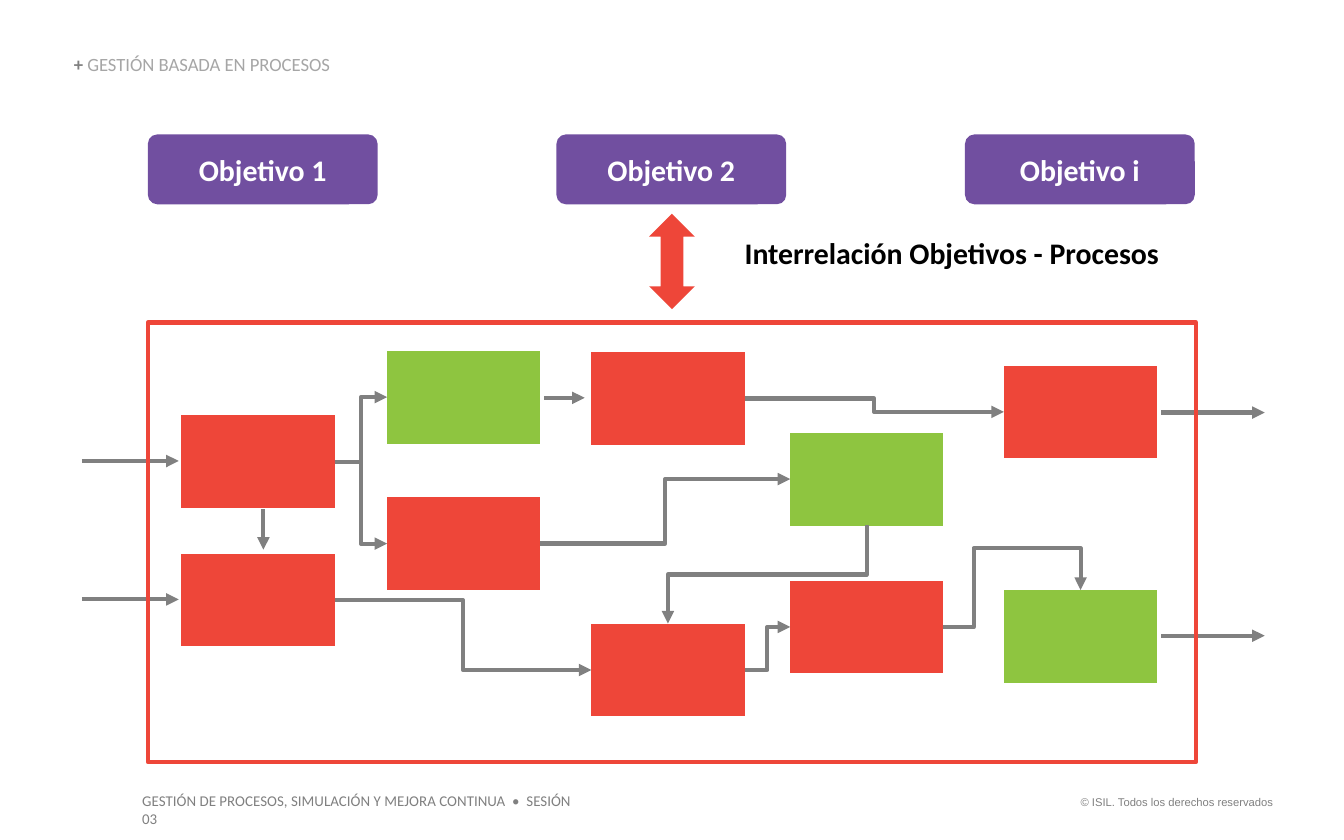
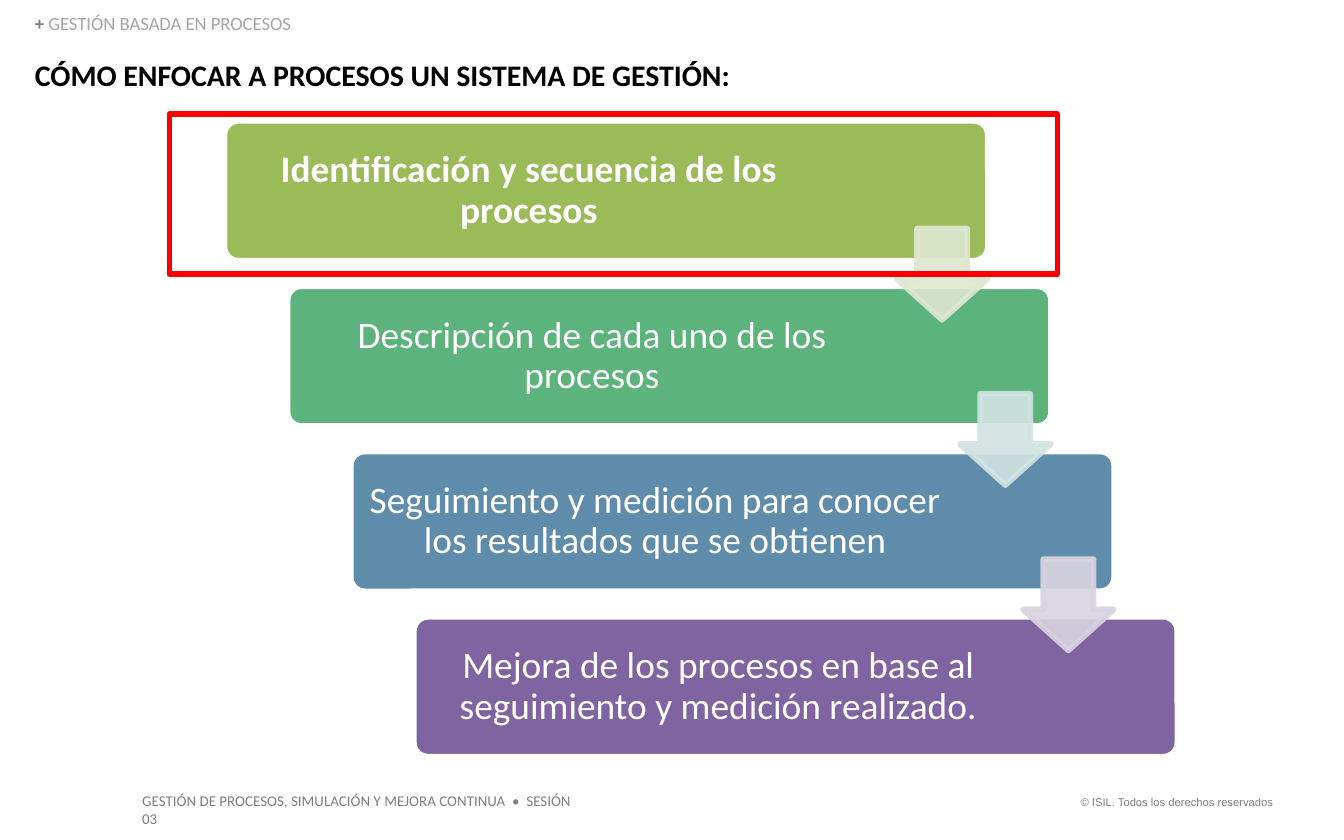
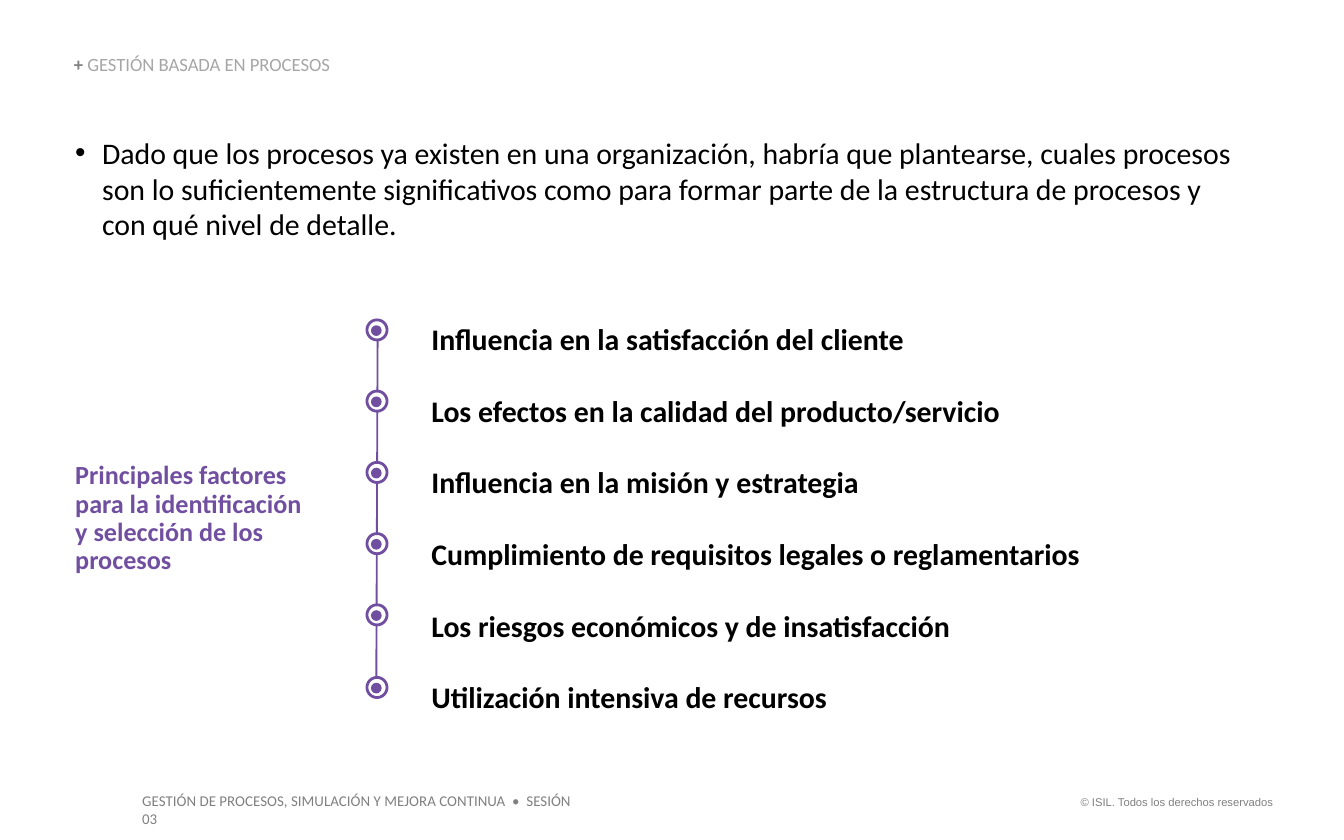
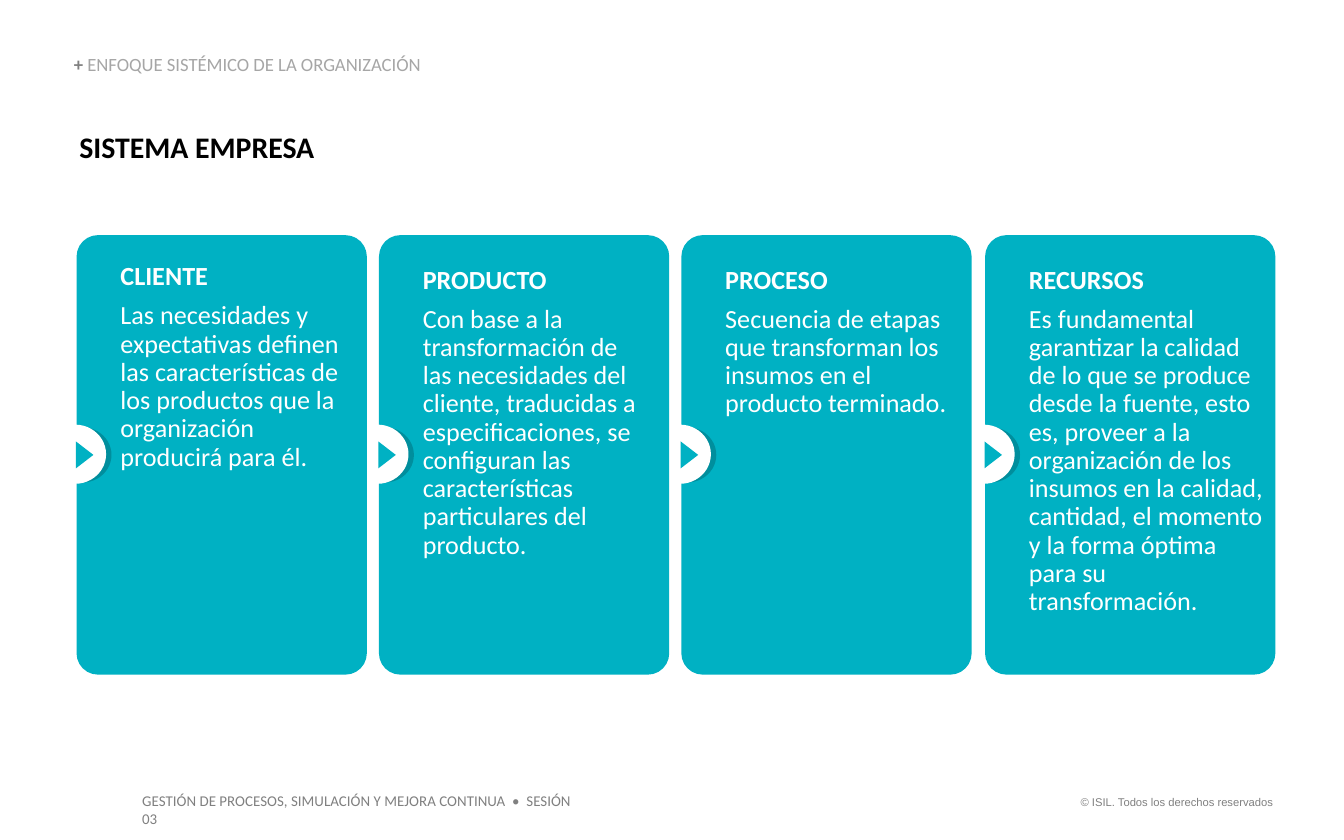
from lxml import etree
from pptx import Presentation
from pptx.dml.color import RGBColor
from pptx.enum import shapes, text
from pptx.oxml import ns
from pptx.util import Emu, Pt

PX = 9144
BLACK = RGBColor(0x00, 0x00, 0x00)
WHITE = RGBColor(0xFF, 0xFF, 0xFF)
GRAY = RGBColor(0x80, 0x80, 0x80)
LIGHT_GRAY = RGBColor(0xA6, 0xA6, 0xA6)
PURPLE = RGBColor(0x71, 0x4F, 0xA0)
RED = RGBColor(0xEE, 0x46, 0x39)
GREEN = RGBColor(0x8E, 0xC5, 0x40)
HIGHLIGHT = RGBColor(0xFF, 0x00, 0x00)
TEAL = RGBColor(0x00, 0xB1, 0xC3)
DARK_TEAL = RGBColor(0x00, 0x8E, 0x9D)
STEP_COLORS = [RGBColor(0x9B, 0xBB, 0x59), RGBColor(0x5C, 0xB3, 0x7C),
               RGBColor(0x60, 0x8C, 0xAB), RGBColor(0x80, 0x64, 0xA2)]
STEP_ARROW_COLORS = [RGBColor(0xDE, 0xE7, 0xD1), RGBColor(0xD2, 0xE3, 0xE2),
                     RGBColor(0xD8, 0xD3, 0xE0)]

KIND = shapes.MSO_SHAPE
CONNECTOR = shapes.MSO_CONNECTOR
ANCHOR = text.MSO_ANCHOR
ALIGN = text.PP_ALIGN
TOP, LEFT, BOTTOM, RIGHT = range(4)
TITLE_ONLY, TWO_CONTENT = 5, 3

PROCESSES = "GESTIÓN BASADA EN PROCESOS"
FACTORS = [
    "Influencia en la satisfacción del cliente",
    "Los efectos en la calidad del producto/servicio",
    "Influencia en la misión y estrategia",
    "Cumplimiento de requisitos legales o reglamentarios",
    "Los riesgos económicos y de insatisfacción",
    "Utilización intensiva de recursos",
]
STEPS = [
    "Identificación y secuencia de los procesos",
    "Descripción de cada uno de los procesos",
    "Seguimiento y medición para conocer los resultados que se obtienen",
    "Mejora de los procesos en base al seguimiento y medición realizado.",
]
CARDS = [
    ("CLIENTE", 0.9, "Las necesidades y expectativas definen las características de los "
     "productos que la organización producirá para él."),
    ("PRODUCTO", 1.0, "Con base a la transformación de\nlas necesidades del cliente, "
     "traducidas a especificaciones, se configuran las características particulares "
     "del producto."),
    ("PROCESO", 1.0, "Secuencia de etapas que transforman los insumos en el producto "
     "terminado."),
    ("RECURSOS", 1.0, "Es fundamental garantizar la calidad de lo que se produce desde la "
     "fuente, esto es, proveer a la organización de los insumos en la calidad, cantidad, "
     "el momento y la forma óptima para su transformación."),
]


def px(*lengths):
    """Turn pixel lengths into EMU."""
    return [Emu(length * PX) for length in lengths]


def add_xml(parent, tag, **attributes):
    """Append a drawing element with the given attributes."""
    return etree.SubElement(parent, ns.qn(tag), attributes)


def set_frame(box, inset=(0, 0, 0, 0), anchor=ANCHOR.TOP):
    """Set wrapping, insets and anchor of the text in a box."""
    frame = box.text_frame
    frame.word_wrap = True
    frame.auto_size = text.MSO_AUTO_SIZE.NONE
    frame.vertical_anchor = anchor
    (frame.margin_left, frame.margin_top,
     frame.margin_right, frame.margin_bottom) = px(*inset)


def write(box, content, *, size=16, color=BLACK, bold=False, font="Calibri",
          align=ALIGN.LEFT, spacing=1.0, after=0, bullet=None):
    """Add a paragraph from a string or from (text, color, bold) spans."""
    para = box.text_frame.paragraphs[-1]
    if para.runs:
        para = box.text_frame.add_paragraph()
    para.alignment = align
    para.line_spacing = spacing
    para.space_before = Pt(0)
    para.space_after = Pt(after)
    if box.is_placeholder:
        properties = para._p.get_or_add_pPr()
        indent = 20 * PX if bullet else 0
        properties.set("marL", str(indent))
        properties.set("indent", str(-indent))
        if bullet:
            add_xml(properties, "a:buChar", char=bullet)
        else:
            add_xml(properties, "a:buNone")
    spans = [(content, color, bold)] if isinstance(content, str) else content
    for words, span_color, span_bold in spans:
        for number, part in enumerate(words.split("\n")):
            if number:
                para.add_line_break()
            span = para.add_run()
            span.text = part
            span.font.name = font
            span.font.size = Pt(size)
            span.font.bold = span_bold
            span.font.color.rgb = span_color


def add_label(page, bounds, content, inset=(0, 0, 0, 0), **style):
    """Add a text box holding one paragraph."""
    box = page.shapes.add_textbox(*px(*bounds))
    set_frame(box, inset)
    write(box, content, **style)
    return box


def add_block(page, kind, bounds, fill=None, line=None, width=1, adjust=()):
    """Add a preset shape without shadow."""
    block = page.shapes.add_shape(kind, *px(*bounds))
    block.shadow.inherit = False
    for index, value in enumerate(adjust):
        block.adjustments[index] = value
    if fill is None:
        block.fill.background()
    else:
        block.fill.solid()
        block.fill.fore_color.rgb = fill
    if line is None:
        block.line.fill.background()
    else:
        block.line.color.rgb = line
        block.line.width = Pt(width)
    return block


def style_connector(connector, color=GRAY, width=2.25, arrow=True):
    """Format a connector and give it an arrowhead when asked."""
    connector.line.color.rgb = color
    connector.line.width = Pt(width)
    properties = connector._element.spPr
    if arrow:
        add_xml(properties.find(ns.qn("a:ln")), "a:tailEnd", type="triangle")
    add_xml(properties, "a:effectLst")


def add_line(page, ends, **style):
    """Add a straight connector between two points."""
    connector = page.shapes.add_connector(CONNECTOR.STRAIGHT, *px(*ends))
    style_connector(connector, **style)


def add_elbow(page, source, source_side, target, target_side):
    """Join two boxes by an elbow arrow."""
    elbow = page.shapes.add_connector(CONNECTOR.ELBOW, 0, 0, 0, 0)
    elbow.begin_connect(source, source_side)
    elbow.end_connect(target, target_side)
    style_connector(elbow)
    return elbow


def turn_elbow(elbow):
    """Turn a down-left elbow so that it leaves vertically."""
    width, height = elbow.width, elbow.height
    center_x, center_y = elbow.left + width // 2, elbow.top + height // 2
    elbow.left, elbow.top = center_x - height // 2, center_y - width // 2
    elbow.width, elbow.height = height, width
    transform = elbow._element.spPr.find(ns.qn("a:xfrm"))
    transform.attrib.pop("flipH", None)
    transform.set("rot", "5400000")


def bend_over(elbow, across, up):
    """Give an elbow a third bend, at shares of its width and height."""
    geometry = elbow._element.spPr.find(ns.qn("a:prstGeom"))
    geometry.set("prst", "bentConnector4")
    guides = geometry.find(ns.qn("a:avLst"))
    for name, share in (("adj1", across), ("adj2", up)):
        add_xml(guides, "a:gd", name=name, fmla=f"val {round(share * 100000)}")


def make_translucent(block, percent):
    """Set the opacity of a shape's fill and line."""
    for color in block._element.spPr.iter(ns.qn("a:srgbClr")):
        add_xml(color, "a:alpha", val=str(percent * 1000))


def place(box, bounds):
    """Move and size a placeholder."""
    box.left, box.top, box.width, box.height = px(*bounds)


def add_page(deck, heading, layout=TITLE_ONLY, left=55, top=41):
    """Add a slide with its small section title."""
    page = deck.slides.add_slide(deck.slide_layouts[layout])
    title = page.shapes.title
    place(title, (left, top, 400, 15))
    set_frame(title, anchor=ANCHOR.BOTTOM)
    write(title, [("+ ", GRAY, True), (heading, LIGHT_GRAY, False)],
          size=10, spacing=0.9)
    return page


def add_footers(deck, page):
    """Draw the footers and hand them over to the slide master."""
    inset = (10, 5, 10, 5)
    footers = [
        add_label(page, (788, 587, 169, 20), "© ISIL. Todos los derechos reservados",
                  inset, size=6, color=GRAY, font="Arial", align=ALIGN.RIGHT),
        add_label(page, (96, 584, 353, 24),
                  "GESTIÓN DE PROCESOS, SIMULACIÓN Y MEJORA CONTINUA  •  SESIÓN 03",
                  inset, size=8, color=GRAY),
    ]
    for footer in footers:
        deck.slide_master.shapes.element.append(footer.element)


def add_process(page, left, top, color):
    """Add one process box of the map."""
    return add_block(page, KIND.FLOWCHART_PROCESS, (left, top, 114, 69), color)


def build_process_map(deck):
    """Build the map that relates objectives and processes."""
    page = add_page(deck, PROCESSES)
    add_footers(deck, page)
    for index, name in enumerate(["Objetivo 1", "Objetivo 2", "Objetivo i"]):
        goal = add_block(page, KIND.ROUNDED_RECTANGLE,
                         (110 + 304 * index, 100, 171, 52), PURPLE, adjust=[0.135])
        set_frame(goal, (10, 5, 10, 5), ANCHOR.MIDDLE)
        write(goal, name, color=WHITE, bold=True, align=ALIGN.CENTER)

    intake = add_process(page, 135, 309, RED)
    second_intake = add_process(page, 135, 412, RED)
    upper = add_process(page, 288, 261, GREEN)
    lower = add_process(page, 288, 370, RED)
    upper_middle = add_process(page, 440, 262, RED)
    lower_middle = add_process(page, 440, 464, RED)
    review = add_process(page, 588, 322, GREEN)
    rework = add_process(page, 588, 432, RED)
    upper_output = add_process(page, 747, 272, RED)
    lower_output = add_process(page, 747, 439, GREEN)

    for ends in [(61, 343, 133, 343), (61, 446, 133, 446), (405, 296, 435, 296),
                 (864, 307, 941, 307), (864, 473, 941, 473), (196, 379, 196, 409)]:
        add_line(page, ends)
    for source, target in [(intake, upper), (intake, lower),
                           (second_intake, lower_middle), (lower, review),
                           (upper_middle, upper_output), (lower_middle, rework)]:
        add_elbow(page, source, RIGHT, target, LEFT)
    turn_elbow(add_elbow(page, review, BOTTOM, lower_middle, TOP))
    bend_over(add_elbow(page, rework, RIGHT, lower_output, TOP), 0.22, 2.13)

    add_block(page, KIND.UP_DOWN_ARROW, (483, 159, 34, 71), RED)
    add_label(page, (554, 175, 375, 27), "Interrelación Objetivos - Procesos", bold=True)
    add_block(page, KIND.RECTANGLE, (110, 240, 780, 327), line=RED, width=2.25)


def build_steps(deck):
    """Build the staircase of steps towards a process approach."""
    page = add_page(deck, PROCESSES, left=26, top=11)
    add_label(page, (26, 42, 864, 27),
              "CÓMO ENFOCAR A PROCESOS UN SISTEMA DE GESTIÓN:", bold=True)
    for index, (words, color) in enumerate(zip(STEPS, STEP_COLORS)):
        step = add_block(page, KIND.ROUNDED_RECTANGLE,
                         (167 + 47 * index, 90 + 123 * index, 568, 104),
                         color, WHITE, 3, [0.1])
        set_frame(step, (8, 8, 123, 8), ANCHOR.MIDDLE)
        write(step, words, size=20, color=WHITE, bold=index == 0,
              align=ALIGN.CENTER, spacing=0.9)
    for index, color in enumerate(STEP_ARROW_COLORS):
        arrow = add_block(page, KIND.DOWN_ARROW,
                          (667 + 47 * index, 170 + 123 * index, 68, 68),
                          color, color, 3, [0.55, 0.45])
        make_translucent(arrow, 90)
    add_block(page, KIND.RECTANGLE, (126, 85, 661, 119), line=HIGHLIGHT, width=3)


def build_factors(deck):
    """Build the list of factors beside its line of dots."""
    page = add_page(deck, PROCESSES, TWO_CONTENT)
    statement, factors = page.placeholders[1], page.placeholders[2]
    place(statement, (56, 100, 864, 81))
    set_frame(statement)
    write(statement, "Dado que los procesos ya existen en una organización, habría que "
          "plantearse, cuales procesos son lo suficientemente significativos como para "
          "formar parte de la estructura de procesos y con qué nivel de detalle.",
          bullet="•")
    place(factors, (321, 212, 575, 316))
    set_frame(factors)
    add_line(page, (281, 245, 280, 504), color=PURPLE, width=1, arrow=False)
    for index, factor in enumerate(FACTORS):
        write(factors, factor, bold=True, spacing=2.0)
        top = 238 + 266 * index // 5
        add_block(page, KIND.OVAL, (273, top, 15, 15), WHITE, PURPLE, 1.5)
        add_block(page, KIND.OVAL, (276, top + 4, 8, 8), PURPLE)
    add_label(page, (56, 344, 181, 139),
              "Principales factores para la identificación y selección de los procesos",
              size=14, color=PURPLE, bold=True, spacing=0.9)


def add_card(page, left, heading, heading_spacing, body):
    """Add a card with the round arrow on its left edge."""
    card = add_block(page, KIND.ROUNDED_RECTANGLE, (left, 175, 216, 327), TEAL,
                     adjust=[0.074])
    set_frame(card, (28, 16, 0, 5))
    write(card, heading, size=14, color=WHITE, bold=True,
          spacing=heading_spacing, after=6)
    write(card, body, size=14, color=WHITE, spacing=0.9)
    add_block(page, KIND.OVAL, (left - 17, 318, 43, 41), DARK_TEAL)
    add_block(page, KIND.OVAL, (left - 24, 316, 46, 44), WHITE)
    pointer = add_block(page, KIND.ISOSCELES_TRIANGLE, (left - 4, 332, 20, 13), TEAL)
    pointer.rotation = 90


def build_system(deck):
    """Build the cards of the company system, the rightmost at the back."""
    page = add_page(deck, "ENFOQUE SISTÉMICO DE LA ORGANIZACIÓN")
    for index, card in reversed(list(enumerate(CARDS))):
        add_card(page, 57 + 676 * index // 3, *card)
    add_label(page, (59, 96, 425, 27), "SISTEMA EMPRESA", bold=True)


def main():
    """Build the deck and save it."""
    deck = Presentation()
    deck.slide_width, deck.slide_height = px(1000, 625)
    build_process_map(deck)
    build_steps(deck)
    build_factors(deck)
    build_system(deck)
    deck.save("out.pptx")


if __name__ == "__main__":
    main()
